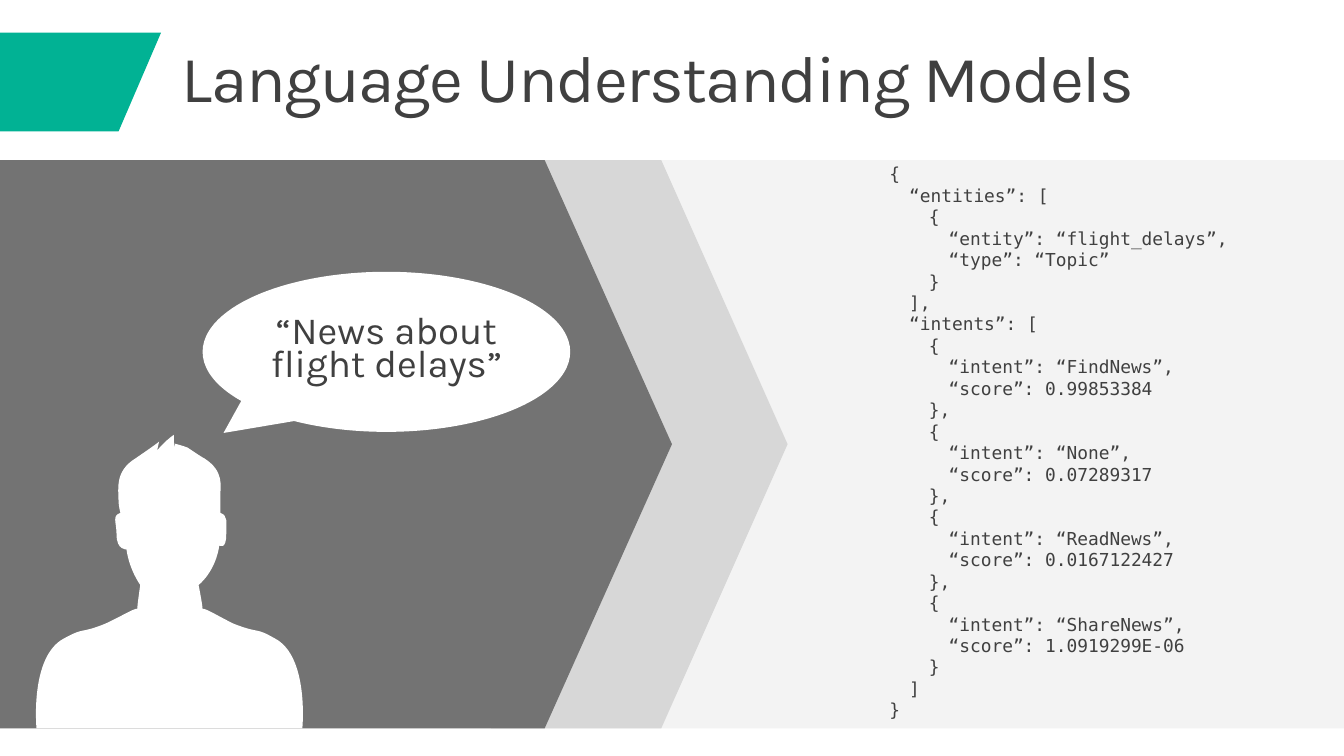
"""Build the slide on language understanding models."""
from dataclasses import dataclass

from lxml.etree import SubElement
from pptx import Presentation
from pptx.dml.color import RGBColor
from pptx.enum.shapes import MSO_SHAPE
from pptx.enum.text import MSO_ANCHOR, PP_ALIGN
from pptx.oxml.ns import qn
from pptx.shapes.autoshape import Shape
from pptx.slide import Slide
from pptx.text.text import TextFrame
from pptx.util import Inches, Pt

WHITE = RGBColor(0xFF, 0xFF, 0xFF)
PALE_GRAY = RGBColor(0xF3, 0xF3, 0xF3)
LIGHT_GRAY = RGBColor(0xD7, 0xD7, 0xD7)
DARK_GRAY = RGBColor(0x73, 0x73, 0x73)
TEXT_GRAY = RGBColor(0x40, 0x40, 0x40)
GREEN = RGBColor(0x01, 0xB2, 0x94)

TITLE_FONT = "Karla"
CODE_FONT = "DejaVu Sans Mono"
BAND_TOP, BAND_HEIGHT = 1.62, 5.75
TAB_STEP = 0.2

Point = tuple[float, float]
Curve = tuple[Point, Point, Point]


@dataclass(frozen=True)
class Panel:
    """A filled preset shape, in inches."""
    kind: MSO_SHAPE
    left: float
    top: float
    width: float
    height: float
    fill: RGBColor
    adjustments: tuple[float, ...] = ()


BACKDROP = Panel(MSO_SHAPE.RECTANGLE, 0, BAND_TOP, 13.6, BAND_HEIGHT, PALE_GRAY)
CHEVRON = Panel(MSO_SHAPE.CHEVRON, 4.97, BAND_TOP, 3, BAND_HEIGHT, LIGHT_GRAY, (0.426,))
ARROW = Panel(MSO_SHAPE.PENTAGON, 0, BAND_TOP, 6.8, BAND_HEIGHT, DARK_GRAY, (0.224,))
BUBBLE = Panel(MSO_SHAPE.OVAL_CALLOUT, 2.05, 2.75, 3.72, 1.62, WHITE, (-0.443, 0.507))

TITLE_TAB: list[Point] = [(1.2, 1.33), (-0.39, 1.33), (-0.39, 0.33), (1.63, 0.33)]

PERSON_START: Point = (0.37, 7.37)
PERSON_CURVES: list[Curve] = [
    ((0.37, 7.37), (0.3, 6.64), (0.65, 6.46)),
    ((0.87, 6.34), (0.8, 6.42), (1.07, 6.31)),
    ((1.26, 6.22), (1.35, 6.16), (1.39, 6.16)),
    ((1.39, 6.12), (1.42, 5.92), (1.42, 5.92)),
    ((1.42, 5.92), (1.31, 5.77), (1.28, 5.56)),
    ((1.28, 5.56), (1.18, 5.57), (1.18, 5.41)),
    ((1.18, 5.28), (1.13, 5.22), (1.22, 5.19)),
    ((1.22, 5.19), (1.2, 5.13), (1.2, 5.06)),
    ((1.2, 4.95), (1.16, 4.77), (1.37, 4.64)),
    ((1.59, 4.49), (1.61, 4.47), (1.61, 4.47)),
    ((1.61, 4.47), (1.61, 4.47), (1.59, 4.56)),
    ((1.59, 4.56), (1.66, 4.47), (1.76, 4.4)),
    ((1.76, 4.4), (1.76, 4.4), (1.76, 4.43)),
    ((1.76, 4.45), (1.76, 4.51), (1.77, 4.53)),
    ((1.77, 4.53), (1.77, 4.53), (1.77, 4.49)),
    ((1.77, 4.49), (1.85, 4.51), (1.9, 4.53)),
    ((1.9, 4.53), (2.03, 4.62), (2.07, 4.64)),
    ((2.27, 4.77), (2.23, 4.91), (2.23, 5.02)),
    ((2.23, 5.12), (2.23, 5.19), (2.23, 5.19)),
    ((2.31, 5.22), (2.29, 5.28), (2.29, 5.41)),
    ((2.29, 5.57), (2.22, 5.52), (2.22, 5.52)),
    ((2.18, 5.79), (2.01, 5.92), (2.01, 5.92)),
    ((2.01, 5.92), (2.05, 6.12), (2.05, 6.16)),
    ((2.09, 6.16), (2.18, 6.22), (2.36, 6.31)),
    ((2.64, 6.42), (2.57, 6.34), (2.78, 6.46)),
    ((3.13, 6.64), (3.06, 7.37), (3.06, 7.37)),
]

CODE = """{
\t“entities”: [
\t\t{
\t\t\t“entity”: “flight_delays”,
\t\t\t“type”: “Topic”
\t\t}
\t],
\t“intents”: [
\t\t{
\t\t\t“intent”: “FindNews”,
\t\t\t“score”: 0.99853384
\t\t},
\t\t{
\t\t\t“intent”: “None”,
\t\t\t“score”: 0.07289317
\t\t},
\t\t{
\t\t\t“intent”: “ReadNews”,
\t\t\t“score”: 0.0167122427
\t\t},
\t\t{
\t\t\t“intent”: “ShareNews”,
\t\t\t“score”: 1.0919299E-06
\t\t}
\t]
}"""


def paint(shape: Shape, fill: RGBColor) -> None:
    """Give a shape a plain fill without line or shadow."""
    shape.shadow.inherit = False
    shape.fill.solid()
    shape.fill.fore_color.rgb = fill
    shape.line.fill.background()


def add_panel(page: Slide, panel: Panel) -> Shape:
    """Draw a preset shape."""
    shape = page.shapes.add_shape(panel.kind, Inches(panel.left), Inches(panel.top),
                                  Inches(panel.width), Inches(panel.height))
    for index, value in enumerate(panel.adjustments):
        shape.adjustments[index] = value
    paint(shape, panel.fill)
    return shape


def add_outline(page: Slide, points: list[Point], fill: RGBColor) -> Shape:
    """Draw a closed polygon through points given in inches."""
    corners = [(Inches(x), Inches(y)) for x, y in points]
    builder = page.shapes.build_freeform(*corners[0])
    builder.add_line_segments(corners[1:], close=True)
    shape = builder.convert_to_shape()
    paint(shape, fill)
    return shape


def add_curved_outline(page: Slide, start: Point, curves: list[Curve], fill: RGBColor) -> None:
    """Draw a closed outline of cubic curves given in inches."""
    controls = [point for curve in curves for point in curve]
    shape = add_outline(page, [start, *controls], fill)
    segments = list(shape._element.iter(qn("a:lnTo")))
    for first in range(0, len(controls), 3):
        bezier = segments[first]
        bezier.tag = qn("a:cubicBezTo")
        for extra in segments[first + 1:first + 3]:
            bezier.append(extra[0])
            extra.getparent().remove(extra)


def write(frame: TextFrame, text: str, font: str, size: float, margins: Point) -> None:
    """Fill a frame with one paragraph per line of text."""
    frame.word_wrap = True
    frame.margin_left = frame.margin_right = Inches(margins[0])
    frame.margin_top = frame.margin_bottom = Inches(margins[1])
    frame.text = text
    for para in frame.paragraphs:
        if "\t" in para.text:
            stops = SubElement(para._p.get_or_add_pPr(), qn("a:tabLst"))
            for level in (1, 2, 3):
                SubElement(stops, qn("a:tab"), pos=str(Inches(TAB_STEP * level)), algn="l")
        para.font.name = font
        para.font.size = Pt(size)
        para.font.color.rgb = TEXT_GRAY


def add_text_box(page: Slide, left: float, top: float, width: float, height: float) -> TextFrame:
    """Add an empty text box and return its frame."""
    box = page.shapes.add_textbox(Inches(left), Inches(top), Inches(width), Inches(height))
    return box.text_frame


def main() -> None:
    """Draw the slide and save the deck."""
    deck = Presentation()
    deck.slide_width, deck.slide_height = Inches(13.6), Inches(7.65)
    page = deck.slides.add_slide(deck.slide_layouts[6])

    add_panel(page, BACKDROP)
    write(add_text_box(page, 8.8, 1.49, 7.29, 6.23), CODE, CODE_FONT, 13, (0.2, 0.16))
    add_panel(page, CHEVRON)
    add_panel(page, ARROW)

    speech = add_panel(page, BUBBLE).text_frame
    write(speech, "“News about flight delays”", TITLE_FONT, 28, (0, 0))
    speech.vertical_anchor = MSO_ANCHOR.MIDDLE
    speech.paragraphs[0].alignment = PP_ALIGN.CENTER
    speech.paragraphs[0].line_spacing = Pt(24)
    add_curved_outline(page, PERSON_START, PERSON_CURVES, WHITE)

    title = add_text_box(page, 1.68, 0.32, 11.59, 1)
    write(title, "Language Understanding Models", TITLE_FONT, 48, (0.16, 0.1))
    title.vertical_anchor = MSO_ANCHOR.MIDDLE
    title.paragraphs[0].line_spacing = 0.9
    title.paragraphs[0].runs[0]._r.get_or_add_rPr().set("spc", "-100")
    add_outline(page, TITLE_TAB, GREEN)
    deck.save("out.pptx")


if __name__ == "__main__":
    main()
